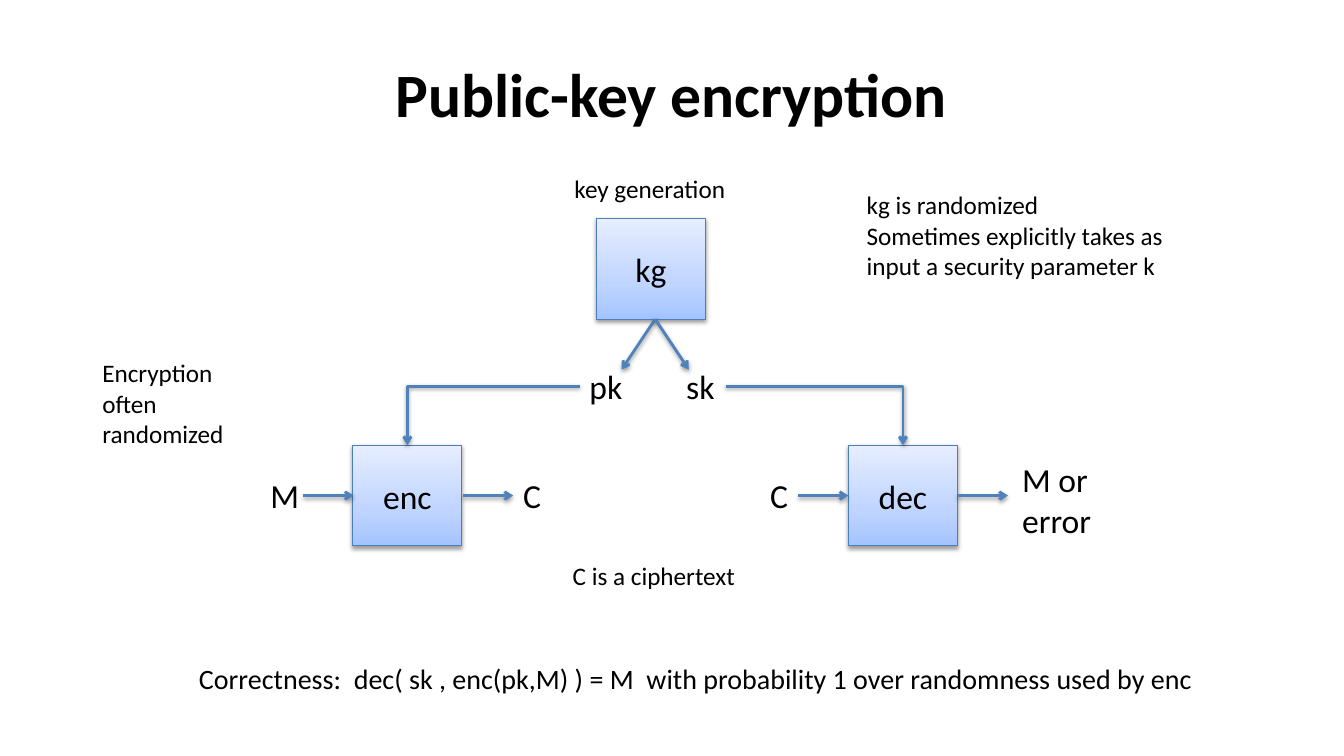
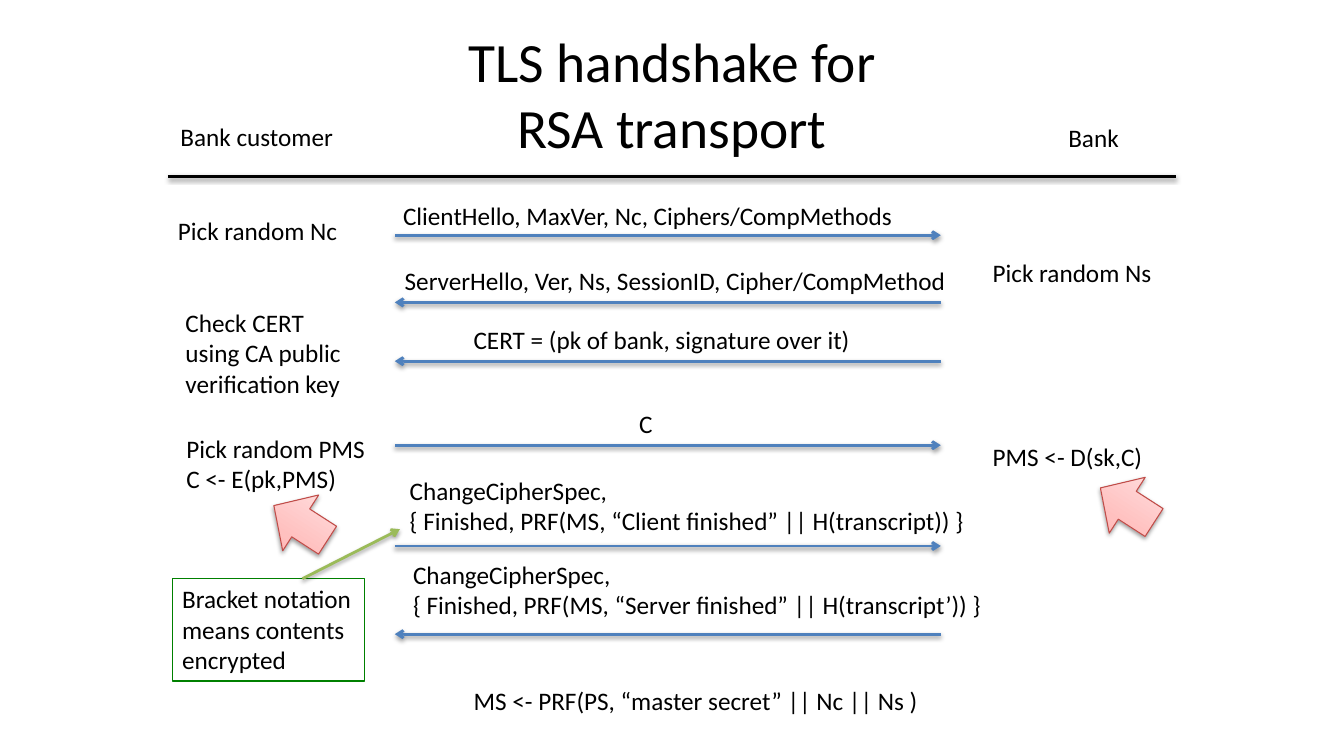
from copy import deepcopy

from lxml.etree import SubElement
from pptx import Presentation
from pptx.dml.color import RGBColor
from pptx.enum.shapes import MSO_CONNECTOR, MSO_SHAPE
from pptx.enum.text import MSO_ANCHOR, MSO_AUTO_SIZE, PP_ALIGN
from pptx.oxml.ns import qn
from pptx.util import Inches, Pt

BLACK, BLUE, BOX_EDGE = "000000", "4F81BD", "4B7EBC"
GREEN, DARK_GREEN, RED = "9BBB59", "008000", "BF4C48"
BLUE_FADE = ("A4C4FF", "BFD4FF", "E6EEFF")
RED_FADE = ("FFA6A5", "FFC0BF", "FFE7E7")
STRAIGHT, ELBOW = MSO_CONNECTOR.STRAIGHT, MSO_CONNECTOR.ELBOW

prs = Presentation()
prs.slide_width, prs.slide_height = Inches(40 / 3), Inches(7.5)
UNIT = prs.slide_height / 90  # grid of 160 columns by 90 rows


def paint(sp, line, width=2.0, fade=None, shadow=True, arrow=False):
    """Style an outline or connector; fade holds three colours, bottom to top."""
    spPr = sp._element.spPr
    if fade:
        sp.fill.gradient()
        sp.fill.gradient_angle = 90
        stops = spPr.find(".//" + qn("a:gsLst"))
        stops.insert(1, deepcopy(stops[0]))
        for stop, position, colour in zip(sp.fill.gradient_stops, (0, 0.35, 1), fade):
            stop.position = position
            stop.color.rgb = RGBColor.from_string(colour)
    sp.line.color.rgb = RGBColor.from_string(line)
    sp.line.width = Pt(width)
    if arrow:
        SubElement(spPr.find(qn("a:ln")), qn("a:tailEnd"), type="arrow")
    effects = SubElement(spPr, qn("a:effectLst"))
    if shadow:
        outer = SubElement(effects, qn("a:outerShdw"), blurRad="40000",
                           dist="20000", dir="5400000", rotWithShape="0")
        colour = SubElement(outer, qn("a:srgbClr"), val=BLACK)
        SubElement(colour, qn("a:alpha"), val="38000")


def write(s, text, x, y, w, h=None, size=18, bold=False, centre=False,
          wrap=False, kind=None):
    """Add text in a box that fits it, or in a fixed box of h rows."""
    lines = text.split("\n")
    height = UNIT * h if h else Pt(7.2 + len(lines) * size * 1.22)
    at = [int(v) for v in (UNIT * x, UNIT * y, UNIT * w, height)]
    sp = s.shapes.add_shape(kind, *at) if kind else s.shapes.add_textbox(*at)
    tf = sp.text_frame
    tf.word_wrap = wrap
    if not h:
        tf.auto_size = MSO_AUTO_SIZE.SHAPE_TO_FIT_TEXT
    tf.vertical_anchor = MSO_ANCHOR.MIDDLE if centre else MSO_ANCHOR.TOP
    for i, line in enumerate(lines):
        p = tf.add_paragraph() if i else tf.paragraphs[0]
        p.text = line
        p.alignment = PP_ALIGN.CENTER if centre else PP_ALIGN.LEFT
        for r in p.runs:
            r.font.name, r.font.size, r.font.bold = "Calibri", Pt(size), bold
            r.font.color.rgb = RGBColor.from_string(BLACK)
    return sp


titles = [("Public-key encryption", 44, True),
          ("TLS handshake for\vRSA transport", 39.6, False)]
slides = []
for title, size, bold in titles:
    s = prs.slides.add_slide(prs.slide_layouts[6])
    write(s, title, 8, 3.6, 144, 15, size=size, bold=bold, centre=True, wrap=True)
    slides.append(s)
scheme, handshake = slides

# Public-key encryption
for name, x, y in [("enc", 42, 53), ("dec", 101, 53), ("kg", 71, 26)]:
    sp = write(scheme, name, x, y, 13, 12, size=24, centre=True, wrap=True,
               kind=MSO_SHAPE.RECTANGLE)
    paint(sp, BOX_EDGE, 0.75, BLUE_FADE)

for text, x, y, w in [
    ("pk", 69, 43, 6.5),
    ("sk", 80.5, 43, 5.9),
    ("M", 31, 56, 5.9),
    ("C", 61.1, 56, 4.6),
    ("C", 90.5, 56, 4.6),
    ("M or\nerror", 120.5, 54.1, 11.2),
]:
    write(scheme, text, x, y, w, size=24)

write(scheme, "key generation", 67.2, 20, 20.8)
write(scheme, "C is a ciphertext", 67, 66.1, 22)
write(scheme, "Correctness:  dec( sk , enc(pk,M) ) = M  with probability 1 "
      "over randomness used by enc", 22.5, 78.1, 121.8, size=20)
write(scheme, "Encryption often randomized", 11, 42, 17, 12.1, wrap=True)
write(scheme, "kg is randomized\nSometimes explicitly takes as input a security "
      "parameter k", 102, 22, 44.4, 12.1, wrap=True)

# Messages of the handshake
for text, x, y, w in [
    ("Bank customer", 20.3, 13.8, 20.9),
    ("Bank", 126, 14, 8.5),
    ("Pick random Nc", 20, 25, 21.6),
    ("Pick random Ns", 117, 30, 21.6),
    ("Check CERT\nusing CA public\nverification key", 20.9, 36, 21.1),
    ("Pick random PMS\nC <- E(pk,PMS)", 21, 51, 24),
    ("PMS <- D(sk,C)", 117, 52, 20.4),
    ("ClientHello, MaxVer, Nc, Ciphers/CompMethods", 46.8, 23.2, 62.5),
    ("ServerHello, Ver, Ns, SessionID, Cipher/CompMethod", 47, 31, 68.3),
    ("CERT = (pk of bank, signature over it)", 55.2, 38, 47.8),
    ("C", 74.9, 48, 4.1),
    ("ChangeCipherSpec,\n{ Finished, PRF(MS, “Client finished” || H(transcript)) }",
     47.6, 56, 70.6),
    ("ChangeCipherSpec,\n{ Finished, PRF(MS, “Server finished” || H(transcript’)) }",
     48, 66, 72.2),
    ("MS <- PRF(PS, “master secret” || Nc || Ns )", 55.2, 81, 55.8),
]:
    write(handshake, text, x, y, w)

note = write(handshake, "Bracket notation\nmeans contents\nencrypted", 20.5, 68.9, 22.9)
paint(note, DARK_GREEN, 0.75, shadow=False)

# Lines and arrows of both slides
CLIENT, SERVER = 47, 112
links = [
    (scheme, STRAIGHT, BLUE, 78, 38, 74, 44),
    (scheme, STRAIGHT, BLUE, 78, 38, 82, 44),
    (scheme, ELBOW, BLUE, 69, 46, 48.5, 53),
    (scheme, ELBOW, BLUE, 86.4, 46, 107.5, 53),
    (handshake, STRAIGHT, BLACK, 20, 21, 140, 21),
    (handshake, STRAIGHT, GREEN, 36, 68.9, 47.6, 63),
]
links += [(scheme, STRAIGHT, BLUE, x, 59, x + 6, 59) for x in (36.1, 55.1, 95, 114)]
links += [(handshake, STRAIGHT, BLUE, CLIENT, y, SERVER, y) for y in (28, 53, 65)]
links += [(handshake, STRAIGHT, BLUE, SERVER, y, CLIENT, y) for y in (36, 43, 75.5)]
for s, kind, colour, *ends in links:
    link = s.shapes.add_connector(kind, *[int(UNIT * v) for v in ends])
    if kind == ELBOW:
        link._element.spPr.find(qn("a:prstGeom")).set("prst", "bentConnector2")
    paint(link, colour, arrow=colour != BLACK)

for x, y in [(32, 58.3), (130.4, 56.2)]:
    pointer = handshake.shapes.add_shape(
        MSO_SHAPE.LEFT_ARROW, *[int(UNIT * v) for v in (x, y, 7.6, 7.9)])
    pointer.rotation = 32.8
    paint(pointer, RED, 0.75, RED_FADE)

prs.save("out.pptx")
